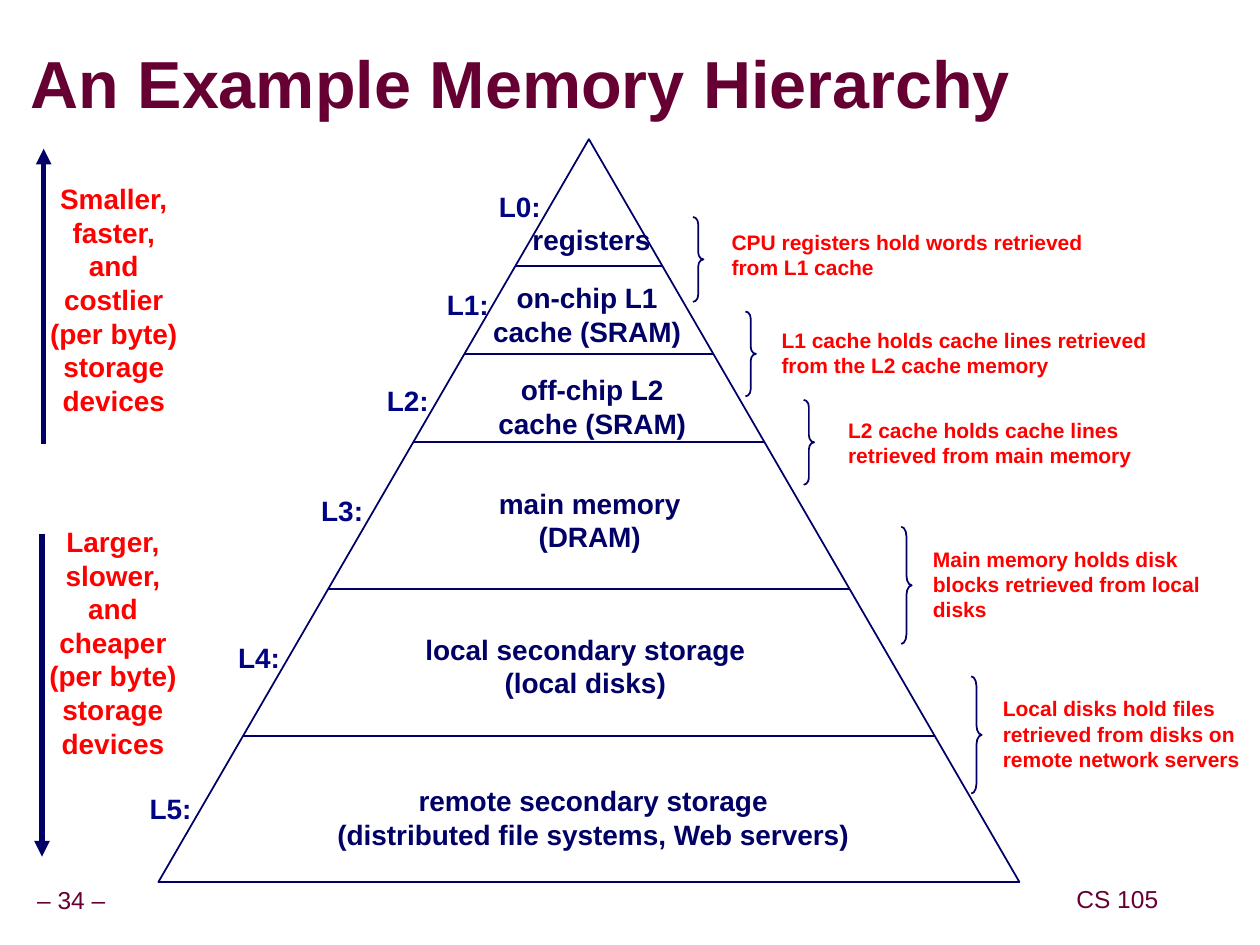
import pptx
import pptx.dml.color
import pptx.enum.shapes
import pptx.enum.text
import pptx.oxml
import pptx.oxml.ns
import pptx.util
from dataclasses import dataclass

Pt = pptx.util.Pt
ALIGN = pptx.enum.text.PP_ALIGN
SHAPE = pptx.enum.shapes.MSO_SHAPE


@dataclass(frozen=True)
class Theme:
    font: str = "Arial"
    maroon: str = "660033"
    navy: str = "000066"
    level_blue: str = "000482"
    red: str = "FF0000"
    title_size: int = 38
    label_size: int = 16
    footer_size: int = 14
    note_size: int = 12
    thin: float = 1
    thick: float = 3


theme = Theme()


def write(shape, lines, size, color, bold=True, align=ALIGN.CENTER,
          inset=(7.2, 3.6), wrap=False, spacing=1.0):
    frame = shape.text_frame
    frame.auto_size = pptx.enum.text.MSO_AUTO_SIZE.NONE
    frame.word_wrap = wrap
    frame.vertical_anchor = pptx.enum.text.MSO_ANCHOR.MIDDLE
    frame.margin_left = frame.margin_right = Pt(inset[0])
    frame.margin_top = frame.margin_bottom = Pt(inset[1])
    for index, line in enumerate(lines):
        paragraph = frame.add_paragraph() if index else frame.paragraphs[0]
        paragraph.alignment = align
        paragraph.line_spacing = spacing
        run = paragraph.add_run()
        run.text = line
        run.font.size = Pt(size)
        run.font.bold = bold
        run.font.color.rgb = pptx.dml.color.RGBColor.from_string(color)
        run.font.name = theme.font


def draw_line(slide, start, end, width, arrow=False):
    connector = slide.shapes.add_connector(
        pptx.enum.shapes.MSO_CONNECTOR.STRAIGHT, *map(Pt, start + end))
    connector.line.color.rgb = pptx.dml.color.RGBColor.from_string(theme.navy)
    connector.line.width = Pt(width)
    if arrow:
        head = pptx.oxml.parse_xml(
            f'<a:tailEnd {pptx.oxml.ns.nsdecls("a")} type="triangle"/>')
        connector.line._get_or_add_ln().append(head)
    properties = connector._element.spPr
    properties.append(pptx.oxml.parse_xml(f'<a:effectLst {pptx.oxml.ns.nsdecls("a")}/>'))


presentation = pptx.Presentation()
presentation.slide_width = Pt(720)
presentation.slide_height = Pt(540)
slide = presentation.slides.add_slide(presentation.slide_layouts[5])
navy = pptx.dml.color.RGBColor.from_string(theme.navy)

title = slide.shapes.title
title.left, title.top, title.width, title.height = map(Pt, (17.5, 19.5, 581, 61))
write(title, ["An Example Memory Hierarchy"], theme.title_size, theme.maroon,
      align=ALIGN.LEFT, inset=(0, 0), wrap=True, spacing=0.87)
title_shadow = pptx.oxml.parse_xml(
    f'<a:effectLst {pptx.oxml.ns.nsdecls("a")}>'
    '<a:outerShdw dist="35921" dir="2700000"><a:srgbClr val="969696"/></a:outerShdw>'
    '</a:effectLst>')
title.text_frame.paragraphs[0].runs[0].font._element.find(
    pptx.oxml.ns.qn("a:solidFill")).addnext(title_shadow)

footers = [
    ("– 34 –", -6.5, 504, 94.5),
    ("CS 105", 611.5, 503.5, 54),
]
for text, left, top, width in footers:
    footer = slide.shapes.add_textbox(Pt(left), Pt(top), Pt(width), Pt(22.5))
    write(footer, [text], theme.footer_size, theme.maroon, bold=False,
          inset=(3.6, 3.6), spacing=0.9)

apex_x, apex_y, base_y, half_base = 336.5, 79.5, 504, 246
pyramid = slide.shapes.add_shape(
    SHAPE.ISOSCELES_TRIANGLE, Pt(apex_x - half_base), Pt(apex_y),
    Pt(2 * half_base), Pt(base_y - apex_y))
pyramid.shadow.inherit = False
pyramid.fill.background()
pyramid.line.color.rgb = navy
pyramid.line.width = Pt(theme.thin)

for divider_y in (152, 202.5, 252.75, 336.5, 420.5):
    half_width = half_base * (divider_y - apex_y) / (base_y - apex_y)
    draw_line(slide, (apex_x - half_width, divider_y),
              (apex_x + half_width, divider_y), theme.thin)

levels = [
    (["registers"], 338, 136.5, 297, 117.75),
    (["on-chip L1", "cache (SRAM)"], 335.5, 179.5, 267.25, 174),
    (["off-chip L2", "cache (SRAM)"], 338.5, 232, 233, 228.75),
    (["main memory", "(DRAM)"], 337, 297, 195.5, 291.75),
    (["local secondary storage", "(local disks)"], 334.5, 380.5, 148, 375.5),
    (["remote secondary storage", "(distributed file systems, Web servers)"],
     339, 467, 97.5, 462),
]
for number, (lines, center_x, center_y, tag_x, tag_y) in enumerate(levels):
    for text, x, y, width, color in (
            (lines, center_x, center_y, 310, theme.navy),
            ([f"L{number}:"], tag_x, tag_y, 38, theme.level_blue)):
        height = 7.5 + 19.25 * len(text)
        label = slide.shapes.add_textbox(
            Pt(x - width / 2), Pt(y - height / 2), Pt(width), Pt(height))
        write(label, text, theme.label_size, color)

notes = [
    (["CPU registers hold words retrieved from L1 cache"],
     411, 127.5, 229.5, 36, 396, 124, 48.5),
    (["L1 cache holds cache lines retrieved from the L2 cache memory"],
     439.5, 183.5, 223, 36, 426, 178, 48.5),
    (["L2 cache holds cache lines retrieved from main memory"],
     477.5, 235, 206.5, 36, 459.25, 228.5, 48.5),
    (["Main memory holds disk", "blocks retrieved from local", "disks"],
     526, 308.5, 218, 50.5, 515, 301, 67),
    (["Local disks hold files retrieved from disks on remote network servers"],
     566, 394, 163, 50.5, 555, 386.5, 67),
]
brace_width = 6
for lines, left, top, width, height, brace_x, brace_y, brace_height in notes:
    note = slide.shapes.add_textbox(Pt(left), Pt(top), Pt(width), Pt(height))
    write(note, lines, theme.note_size, theme.red, align=ALIGN.LEFT, wrap=True)
    brace = slide.shapes.add_shape(
        SHAPE.RIGHT_BRACE, Pt(brace_x), Pt(brace_y), Pt(brace_width), Pt(brace_height))
    brace.adjustments[0] = brace_height / 12 / brace_width
    brace.shadow.inherit = False
    brace.fill.background()
    brace.line.color.rgb = navy
    brace.line.width = Pt(theme.thin)

trends = [
    (["Smaller,", "faster,", "and", "costlier", "(per byte)", "storage", "devices"],
     21.5, 100, (25, 254), (25, 85)),
    (["Larger,", "slower,", "and", "cheaper", "(per byte)", "storage", "devices"],
     21, 296, (24, 305), (24, 489.5)),
]
for lines, left, top, tail, tip in trends:
    trend = slide.shapes.add_textbox(Pt(left), Pt(top), Pt(87), Pt(142))
    write(trend, lines, theme.label_size, theme.red)
    draw_line(slide, tail, tip, theme.thick, arrow=True)

presentation.save("out.pptx")
